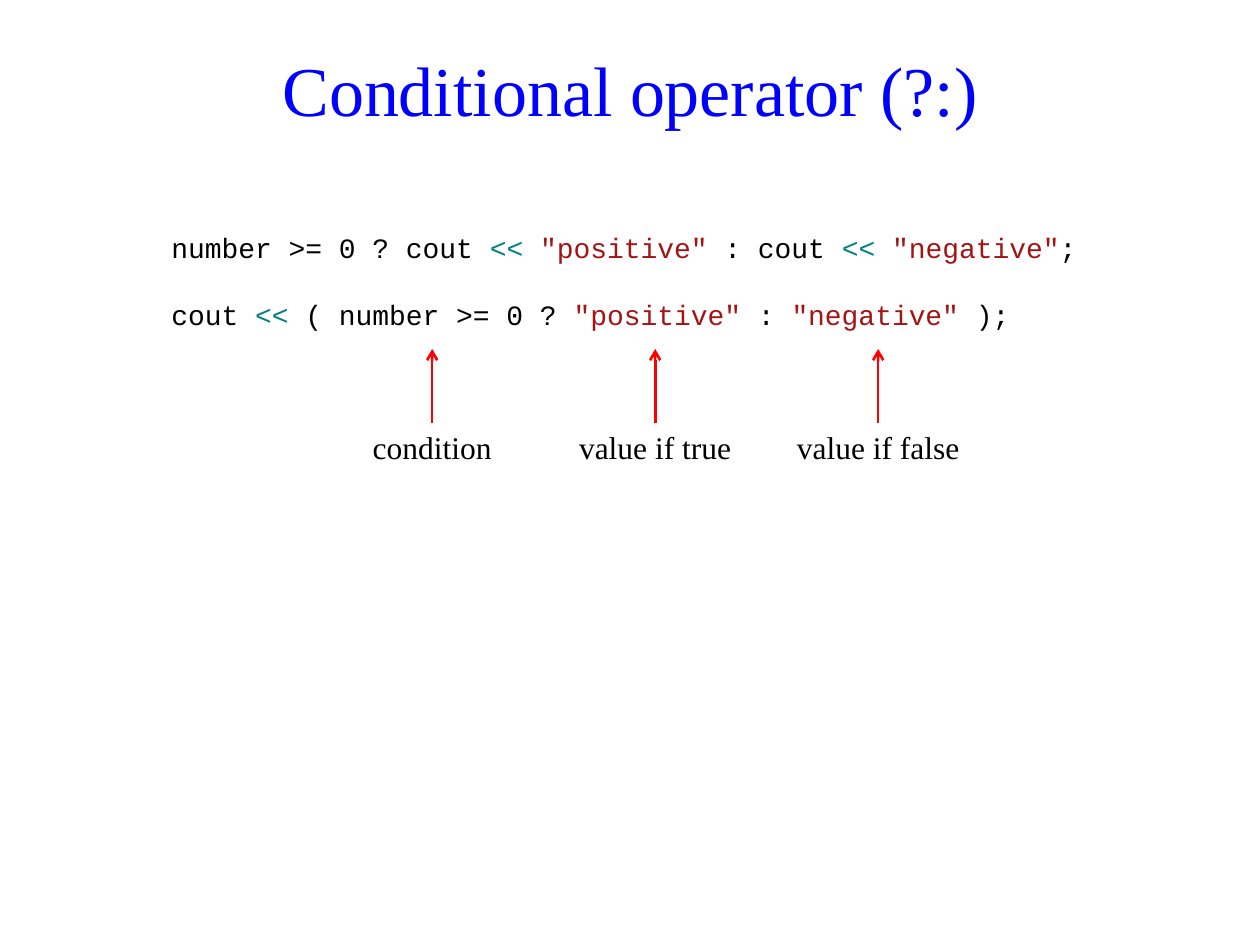
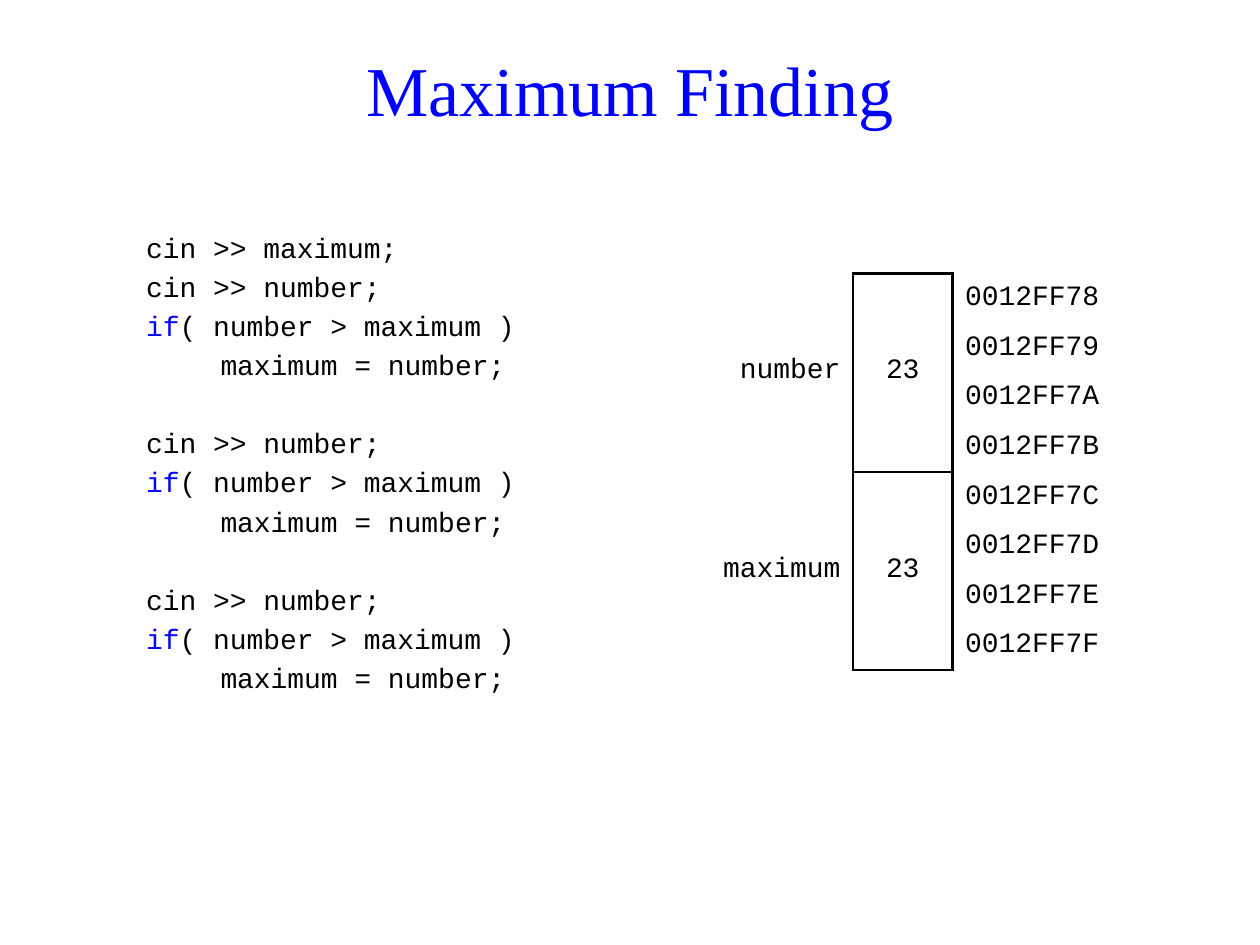
import pptx
import pptx.dml.color
import pptx.enum.shapes
import pptx.enum.text
import pptx.oxml
import pptx.oxml.ns
import pptx.util
from lxml import etree

Inches, Pt = pptx.util.Inches, pptx.util.Pt
ALIGN, ANCHOR = pptx.enum.text.PP_ALIGN, pptx.enum.text.MSO_ANCHOR
qn = pptx.oxml.ns.qn

COLORS = {"title": "0000FF", "text": "000000", "operator": "008080",
          "string": "A31515", "keyword": "0000FF", "arrow": "FF0000"}
SERIF, MONO = "Times New Roman", "Courier New"
CODE_SIZE, LINE_PITCH = 16, 19.15
NO_STYLE = "{2D5ABB26-0587-4C30-8999-92F81FD0307C}"

# Code blocks are groups of lines; a line is a list of (text, colour) pieces.
OPERATOR_CODE = [
    [[("number >= 0 ? cout ", "text"), ("<< ", "operator"),
      ('"positive"', "string"), (" : cout ", "text"), ("<< ", "operator"),
      ('"negative"', "string"), (";", "text")]],
    [[("cout ", "text"), ("<<", "operator"), (" ( number >= 0 ? ", "text"),
      ('"positive"', "string"), (" : ", "text"),
      ('"negative"', "string"), (" );", "text")]],
]
READ_NUMBER = [("cin >> number;", "text")]
KEEP_LARGER = [
    [("if", "keyword"), ("( number > maximum )", "text")],
    [("\tmaximum = number;", "text")],
]
MAXIMUM_CODE = [
    [[("cin >> maximum;", "text")], READ_NUMBER, *KEEP_LARGER],
    [READ_NUMBER, *KEEP_LARGER],
    [READ_NUMBER, *KEEP_LARGER],
]

OPERANDS = [("condition", 1.18), ("value if true", 1.57), ("value if false", 1.57)]
FIRST_OPERAND, OPERAND_STEP = 3.43, 1.77
ARROW_TIP, LABEL_TOP, LABEL_HEIGHT = 2.77, 3.36, 0.39

VARIABLES = [("number", "23"), ("maximum", "23")]
BYTES_EACH = 4
ADDRESSES = [f"0012FF{byte:X}" for byte in range(0x78, 0x80)]
MEMORY_AT = (5.59, 2.17, 3.35, 3.15)
MEMORY_COLUMNS = (1.18, 0.79, 1.38)


def color(key):
    return pptx.dml.color.RGBColor.from_string(COLORS[key])


def apply(target, values):
    for name, value in values.items():
        setattr(target, name, value)


def place(shape, left, top, width, height):
    apply(shape, {"left": Inches(left), "top": Inches(top),
                  "width": Inches(width), "height": Inches(height)})


def add_run(paragraph, text, font, size, key="text"):
    run = paragraph.add_run()
    run.text = text
    apply(run.font, {"name": font, "size": Pt(size)})
    run.font.color.rgb = color(key)


def add_slide(deck, heading):
    slide = deck.slides.add_slide(deck.slide_layouts[1])
    title = slide.shapes.title
    place(title, 0.67, 0.21, 8.66, 0.98)
    apply(title.text_frame, {"vertical_anchor": ANCHOR.MIDDLE,
                             "auto_size": pptx.enum.text.MSO_AUTO_SIZE.NONE})
    paragraph = title.text_frame.paragraphs[0]
    paragraph.alignment = ALIGN.CENTER
    add_run(paragraph, heading, SERIF, 40, "title")
    return slide


def add_code(slide, groups, at, line_gap=0, hanging=0):
    """Fill the body with code, leaving one line's room between groups."""
    body = slide.placeholders[1]
    place(body, *at)
    frame = body.text_frame
    apply(frame, {"word_wrap": True, "vertical_anchor": ANCHOR.TOP,
                  "auto_size": pptx.enum.text.MSO_AUTO_SIZE.NONE})
    group_gap = LINE_PITCH + 2 * line_gap
    for g, group in enumerate(groups):
        for n, line in enumerate(group):
            first = g == n == 0
            paragraph = frame.paragraphs[0] if first else frame.add_paragraph()
            gap = 0 if first else line_gap if n else group_gap
            apply(paragraph, {"alignment": ALIGN.LEFT, "space_before": Pt(gap),
                              "line_spacing": Pt(LINE_PITCH)})
            properties = paragraph._p.get_or_add_pPr()
            properties.set("marL", str(Inches(hanging)))
            properties.set("indent", str(-Inches(hanging)))
            etree.SubElement(properties, qn("a:buNone"))
            for text, key in line:
                add_run(paragraph, text, MONO, CODE_SIZE, key)


def add_operand(slide, text, center, width):
    """Label one operand and point an arrow up at it."""
    label = slide.shapes.add_textbox(
        Inches(center - width / 2), Inches(LABEL_TOP), Inches(width), Inches(LABEL_HEIGHT))
    apply(label.text_frame, {"word_wrap": True, "margin_top": Inches(0.04),
                             "margin_bottom": Inches(0.04)})
    paragraph = label.text_frame.paragraphs[0]
    paragraph.alignment = ALIGN.CENTER
    add_run(paragraph, text, SERIF, 18)

    arrow = slide.shapes.add_connector(
        pptx.enum.shapes.MSO_CONNECTOR.STRAIGHT, Inches(center), Inches(LABEL_TOP),
        Inches(center), Inches(ARROW_TIP))
    arrow.begin_connect(label, 0)
    arrow.line.color.rgb = color("arrow")
    arrow.line.width = Pt(1.5)
    etree.SubElement(arrow.line._get_or_add_ln(), qn("a:tailEnd"), type="arrow")
    etree.SubElement(arrow._element.spPr, qn("a:effectLst"))


def fill_cell(cell, text, alignment, margins, borders):
    """Write a cell; borders maps sides in L, R, T, B order to widths."""
    apply(cell, {"vertical_anchor": ANCHOR.MIDDLE, **margins})
    paragraph = cell.text_frame.paragraphs[0]
    paragraph.alignment = alignment
    add_run(paragraph, text, MONO, CODE_SIZE)
    properties = cell._tc.get_or_add_tcPr()
    for side, width in borders.items():
        line = etree.SubElement(properties, qn(f"a:ln{side}"), w=str(Pt(width)))
        solid = etree.SubElement(line, qn("a:solidFill"))
        etree.SubElement(solid, qn("a:srgbClr"), val=COLORS["text"])
    cell.fill.background()


def add_memory(slide):
    frame = slide.shapes.add_table(
        len(ADDRESSES), len(MEMORY_COLUMNS), *map(Inches, MEMORY_AT))
    memory = frame.table
    apply(memory, {"first_row": False, "horz_banding": False})
    memory._tbl.tblPr.find(qn("a:tableStyleId")).text = NO_STYLE
    for column, width in zip(memory.columns, MEMORY_COLUMNS):
        column.width = Inches(width)
    for row in memory.rows:
        row.height = Inches(MEMORY_AT[3] / len(ADDRESSES))

    variable_margins = {"margin_top": 0, "margin_bottom": Inches(0.02)}
    address_margins = {"margin_left": Inches(0.1), "margin_right": Inches(0.08),
                       "margin_top": Inches(0.04), "margin_bottom": Inches(0.04)}
    for v, (name, value) in enumerate(VARIABLES):
        top = v * BYTES_EACH
        for c in range(2):
            memory.cell(top, c).merge(memory.cell(top + BYTES_EACH - 1, c))
        box = {"L": 1.5, "R": 1.5, "T": 1 if v else 1.5,
               "B": 1.5 if v == len(VARIABLES) - 1 else 1}
        fill_cell(memory.cell(top, 0), name, ALIGN.RIGHT, variable_margins, {"R": 1.5})
        fill_cell(memory.cell(top, 1), value, ALIGN.CENTER, variable_margins, box)
    for r, address in enumerate(ADDRESSES):
        fill_cell(memory.cell(r, 2), address, ALIGN.LEFT, address_margins, {"L": 1.5})


def main():
    deck = pptx.Presentation()
    apply(deck, {"slide_width": Inches(10), "slide_height": Inches(7.5)})

    conditional = add_slide(deck, "Conditional operator (?:)")
    add_code(conditional, OPERATOR_CODE, (1.26, 1.78, 7.48, 0.98))
    for n, (text, width) in enumerate(OPERANDS):
        add_operand(conditional, text, FIRST_OPERAND + n * OPERAND_STEP, width)

    maximum = add_slide(deck, "Maximum Finding")
    add_code(maximum, MAXIMUM_CODE, (1.06, 1.78, 3.15, 3.94), line_gap=3.2, hanging=0.59)
    add_memory(maximum)

    deck.save("out.pptx")


if __name__ == "__main__":
    main()
